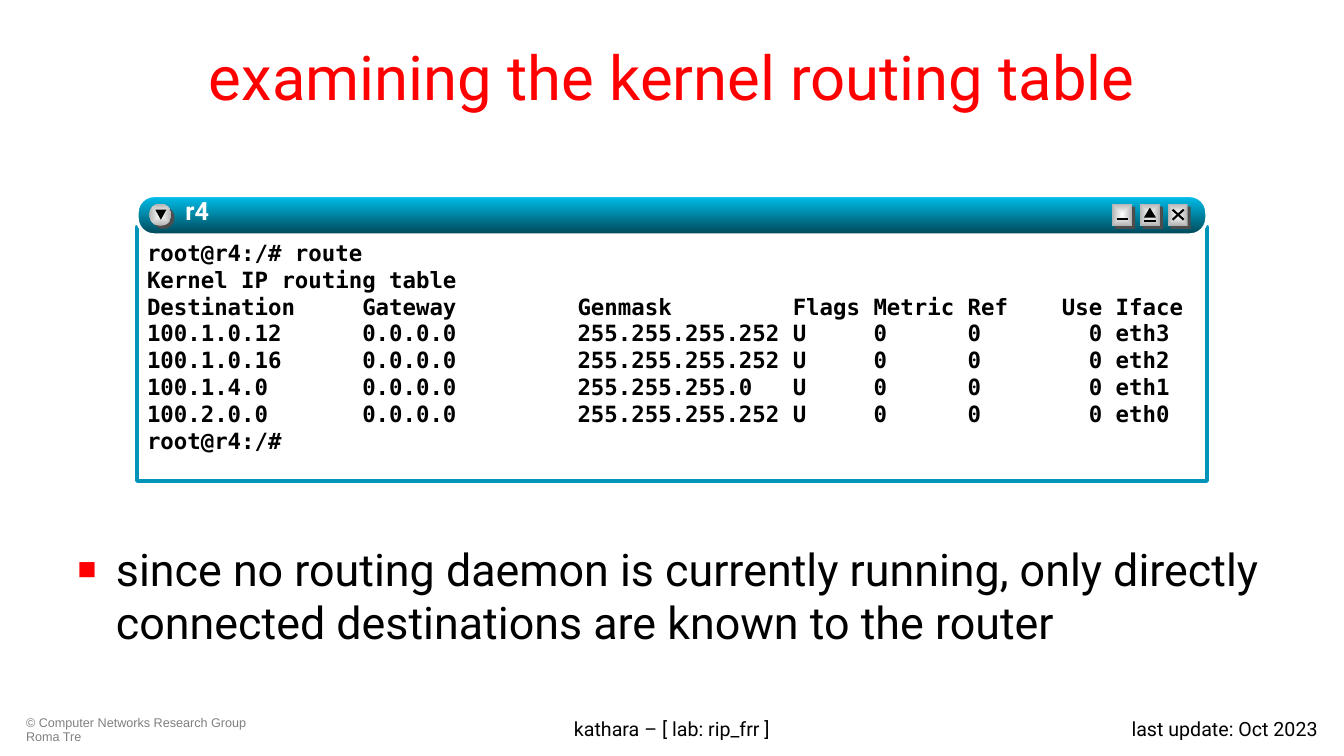
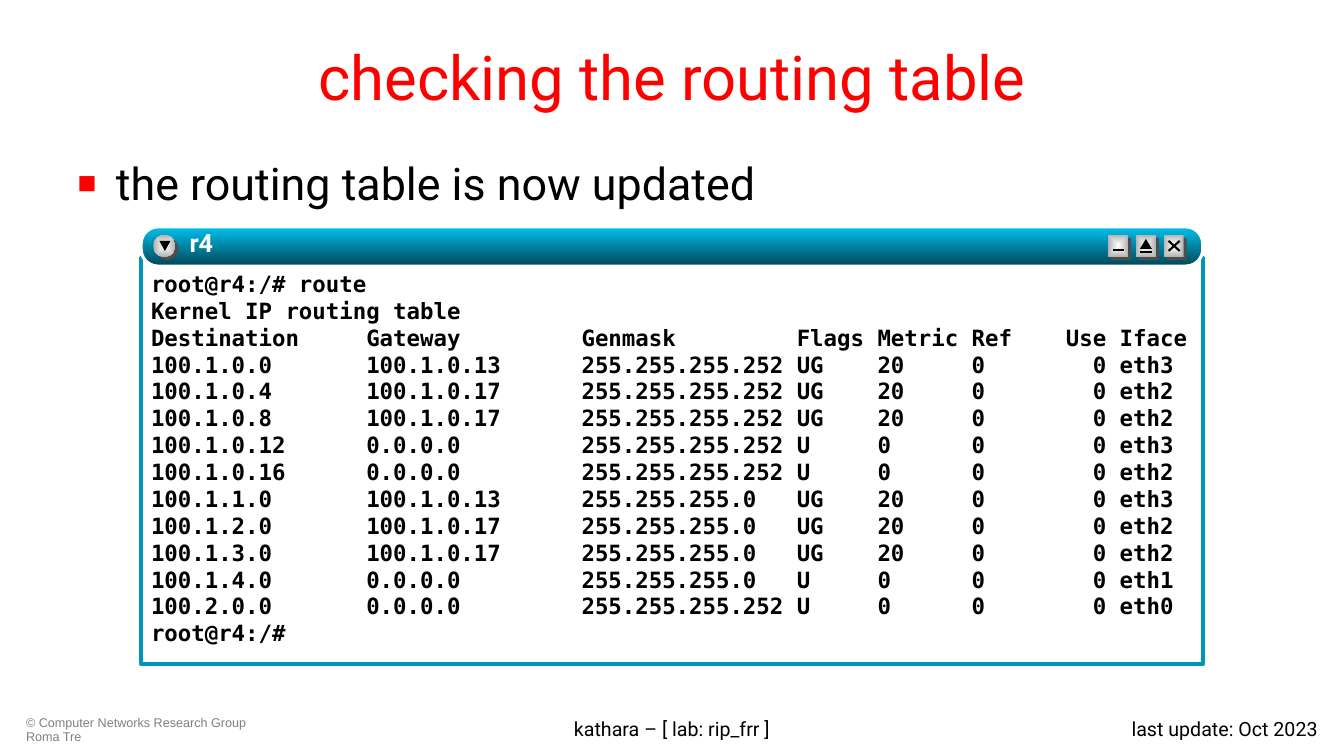
"""Build two slides that show a router's kernel routing table in a terminal window."""
from dataclasses import dataclass
from typing import NamedTuple

from lxml import etree
from pptx import Presentation, slide, util as u
from pptx.dml import color
from pptx.enum import shapes, text
from pptx.oxml import ns

COLORS = {
    "title": "FF0000",
    "ink": "000000",
    "paper": "FFFFFF",
    "copyright": "808080",
    "frame": "0095B8",
    "bar_top": "00C1EE",
    "bar_bottom": "004656",
    "button_edge": "B2B2B2",
    "button_shadow": "4D4D4D",
}
SHAPE = shapes.MSO_SHAPE
LEFT, CENTER, RIGHT = text.PP_ALIGN.LEFT, text.PP_ALIGN.CENTER, text.PP_ALIGN.RIGHT
TOP, MIDDLE = text.MSO_ANCHOR.TOP, text.MSO_ANCHOR.MIDDLE
BAR_HEIGHT = 0.39
BUTTON_STEP = 0.275


class Area(NamedTuple):
    left: float
    top: float
    width: float
    height: float

    def lengths(self) -> list[u.Length]:
        return [u.Inches(value) for value in self]


class Insets(NamedTuple):
    left: float = 0.1
    top: float = 0.05
    right: float = 0.1
    bottom: float = 0.05


@dataclass(frozen=True)
class Style:
    size: int
    color: str = "ink"
    font: str = "Roboto"
    bold: bool = False
    align: text.PP_ALIGN = LEFT
    anchor: text.MSO_ANCHOR = TOP
    spacing: float = 1.0


@dataclass(frozen=True)
class Footer:
    words: str
    area: Area
    style: Style


@dataclass(frozen=True)
class Route:
    destination: str
    iface: str
    mask: str = "255.255.255.252"
    gateway: str = "0.0.0.0"

    def line(self) -> str:
        flags, metric = ("U", 0) if self.gateway == "0.0.0.0" else ("UG", 20)
        return (f"{self.destination:<16}{self.gateway:<16}{self.mask:<16}"
                f"{flags:<6}{metric:<7}0        0 {self.iface}")


@dataclass(frozen=True)
class Topic:
    title: str
    bullet: str
    body: Area
    bullet_spacing: float
    window: Area
    routes: list[Route]


TITLE = Style(44, "title", align=CENTER, anchor=MIDDLE)
CODE = Style(16, font="DejaVu Sans Mono", bold=True)
LABEL = Style(18, "paper", bold=True)
FOOTERS = [
    Footer("© Computer Networks Research Group Roma Tre", Area(0.16, 7.06, 2.49, 0.36),
           Style(9, "copyright", "Arial", spacing=0.9)),
    Footer("last update: Oct 2023", Area(10.13, 7.06, 3.04, 0.36), Style(14, align=RIGHT)),
    Footer("kathara – [ lab: rip_frr ]", Area(3.41, 7.06, 6.51, 0.36), Style(14, align=CENTER)),
]

WIDE = "255.255.255.0"
VIA_13, VIA_17 = "100.1.0.13", "100.1.0.17"
LINKS = [Route("100.1.0.12", "eth3"), Route("100.1.0.16", "eth2")]
LOCAL_NETS = [Route("100.1.4.0", "eth1", WIDE), Route("100.2.0.0", "eth0")]
LEARNED_LINKS = [
    Route("100.1.0.0", "eth3", gateway=VIA_13),
    Route("100.1.0.4", "eth2", gateway=VIA_17),
    Route("100.1.0.8", "eth2", gateway=VIA_17),
]
LEARNED_NETS = [
    Route("100.1.1.0", "eth3", WIDE, VIA_13),
    Route("100.1.2.0", "eth2", WIDE, VIA_17),
    Route("100.1.3.0", "eth2", WIDE, VIA_17),
]
TOPICS = [
    Topic("examining the kernel routing table",
          "since no routing daemon is currently running, only directly connected "
          "destinations are known to the router",
          Area(0.67, 5.32, 12, 1.38), 1.0, Area(1.36, 1.94, 10.61, 2.83),
          LINKS + LOCAL_NETS),
    Topic("checking the routing table", "the routing table is now updated",
          Area(0.67, 1.55, 12, 0.7), 0.9, Area(1.4, 2.25, 10.53, 4.34),
          LEARNED_LINKS + LINKS + LEARNED_NETS + LOCAL_NETS),
]


def rgb(name: str) -> color.RGBColor:
    return color.RGBColor.from_string(COLORS[name])


def add_child(parent, tag: str, **attributes: str):
    return etree.SubElement(parent, ns.qn(tag), attributes)


def add_bullet(para) -> None:
    props = para._p.get_or_add_pPr()
    props.set("marL", str(u.Inches(0.38)))
    props.set("indent", str(u.Inches(-0.38)))
    add_child(add_child(props, "a:buClr"), "a:srgbClr", val=COLORS["title"])
    add_child(props, "a:buSzPct", val="70000")
    add_child(props, "a:buFont", typeface="Arial")
    add_child(props, "a:buChar", char="■")


def write(shape, lines: list[str], style: Style, insets: Insets = Insets(),
          bulleted: bool = False) -> None:
    frame = shape.text_frame
    frame.word_wrap = True
    frame.auto_size = text.MSO_AUTO_SIZE.NONE
    frame.vertical_anchor = style.anchor
    frame.margin_left, frame.margin_top, frame.margin_right, frame.margin_bottom = (
        u.Inches(value) for value in insets)
    frame.text = "\n".join(lines)
    for para in frame.paragraphs:
        if bulleted:
            add_bullet(para)
        para.alignment = style.align
        para.line_spacing = style.spacing
        para.space_before = u.Pt(0)
        para.font.name = style.font
        para.font.size = u.Pt(style.size)
        para.font.bold = style.bold
        para.font.color.rgb = rgb(style.color)


def place(shape, area: Area) -> None:
    shape.left, shape.top, shape.width, shape.height = area.lengths()


def add_text(page: slide.Slide, words: str, area: Area, style: Style,
             insets: Insets = Insets()):
    box = page.shapes.add_textbox(*area.lengths())
    write(box, [words], style, insets)
    return box


def add_plain(page: slide.Slide, kind: SHAPE, area: Area, fill: str | None = None):
    shape = page.shapes.add_shape(kind, *area.lengths())
    shape.shadow.inherit = False
    shape.line.fill.background()
    if fill:
        shape.fill.solid()
        shape.fill.fore_color.rgb = rgb(fill)
    else:
        shape.fill.background()
    return shape


def set_gradient(shape, first: str, last: str, radial: bool = False) -> None:
    shape.fill.gradient()
    for stop, name in zip(shape.fill.gradient_stops, (first, last)):
        stop.color.rgb = rgb(name)
    if not radial:
        shape.fill.gradient_angle = 270
        return
    gradient = shape._element.spPr.find(ns.qn("a:gradFill"))
    gradient.remove(gradient.find(ns.qn("a:lin")))
    center = add_child(gradient, "a:path", path="shape")
    add_child(center, "a:fillToRect", l="50000", t="50000", r="50000", b="50000")


def set_outline(shape, name: str, width: float) -> None:
    shape.line.color.rgb = rgb(name)
    shape.line.width = u.Pt(width)


def add_stroke(page: slide.Slide, x1: float, y1: float, x2: float, y2: float) -> None:
    stroke = page.shapes.add_connector(
        shapes.MSO_CONNECTOR.STRAIGHT, *(u.Inches(value) for value in (x1, y1, x2, y2)))
    set_outline(stroke, "ink", 1.5)
    add_child(stroke._element.spPr, "a:effectLst")


def add_button(page: slide.Slide, kind: SHAPE, x: float, y: float, width: float) -> None:
    add_plain(page, kind, Area(x + 0.03, y + 0.03, width, 0.22), "button_shadow")
    face = add_plain(page, kind, Area(x, y, width, 0.22))
    set_gradient(face, "paper", "button_edge", radial=True)


def add_controls(page: slide.Slide, window: Area) -> None:
    y = window.top + 0.08
    menu = window.left + 0.12
    add_button(page, SHAPE.OVAL, menu, y, 0.22)
    arrow = add_plain(page, SHAPE.ISOSCELES_TRIANGLE,
                      Area(menu + 0.06, y + 0.06, 0.11, 0.1), "ink")
    arrow.rotation = 180

    first = window.left + window.width - 0.94
    minimize, restore, close = (first + i * BUTTON_STEP for i in range(3))
    for x in (minimize, restore, close):
        add_button(page, SHAPE.RECTANGLE, x, y, 0.2)
    add_stroke(page, minimize + 0.05, y + 0.15, minimize + 0.16, y + 0.15)
    add_stroke(page, restore + 0.04, y + 0.17, restore + 0.16, y + 0.17)
    add_plain(page, SHAPE.ISOSCELES_TRIANGLE,
              Area(restore + 0.04, y + 0.04, 0.12, 0.1), "ink")
    for start, end in ((0.06, 0.16), (0.16, 0.06)):
        add_stroke(page, close + 0.05, y + start, close + 0.16, y + end)


def add_label(page: slide.Slide, words: str, window: Area) -> None:
    area = Area(window.left + 0.48, window.top, 7.24, BAR_HEIGHT)
    label = add_text(page, words, area, LABEL, Insets(0, 0, 0, 0))
    span = label.text_frame.paragraphs[0].runs[0]
    effects = add_child(span._r.get_or_add_rPr(), "a:effectLst")
    shadow = add_child(effects, "a:outerShdw", dist=str(u.Pt(2)), dir="2700000")
    add_child(shadow, "a:srgbClr", val=COLORS["ink"])


def add_terminal(page: slide.Slide, window: Area, routes: list[Route]) -> None:
    drop = 0.31
    frame = add_plain(page, SHAPE.RECTANGLE, Area(
        window.left, window.top + drop, window.width, window.height - drop))
    set_outline(frame, "frame", 3)
    lines = [
        "root@r4:/# route",
        "Kernel IP routing table",
        "Destination     Gateway         Genmask         Flags Metric Ref    Use Iface",
        *(route.line() for route in routes),
        "root@r4:/#",
    ]
    write(frame, lines, CODE, Insets(0.1, 0.12, 0.04, 0.04))
    bar = add_plain(page, SHAPE.ROUNDED_RECTANGLE, window._replace(height=BAR_HEIGHT))
    bar.adjustments[0] = 0.43
    set_gradient(bar, "bar_top", "bar_bottom")
    set_outline(bar, "paper", 2.25)
    add_controls(page, window)
    add_label(page, "r4", window)


def add_page(deck, topic: Topic) -> None:
    page = deck.slides.add_slide(deck.slide_layouts[1])
    title, body = page.placeholders
    place(title, Area(0.67, 0.13, 12, 1.25))
    write(title, [topic.title], TITLE)
    place(body, topic.body)
    write(body, [topic.bullet], Style(32, spacing=topic.bullet_spacing), bulleted=True)
    for footer in FOOTERS:
        add_text(page, footer.words, footer.area, footer.style)
    add_terminal(page, topic.window, topic.routes)


def main() -> None:
    deck = Presentation()
    deck.slide_width, deck.slide_height = u.Inches(13.33), u.Inches(7.5)
    for topic in TOPICS:
        add_page(deck, topic)
    deck.save("out.pptx")


if __name__ == "__main__":
    main()
